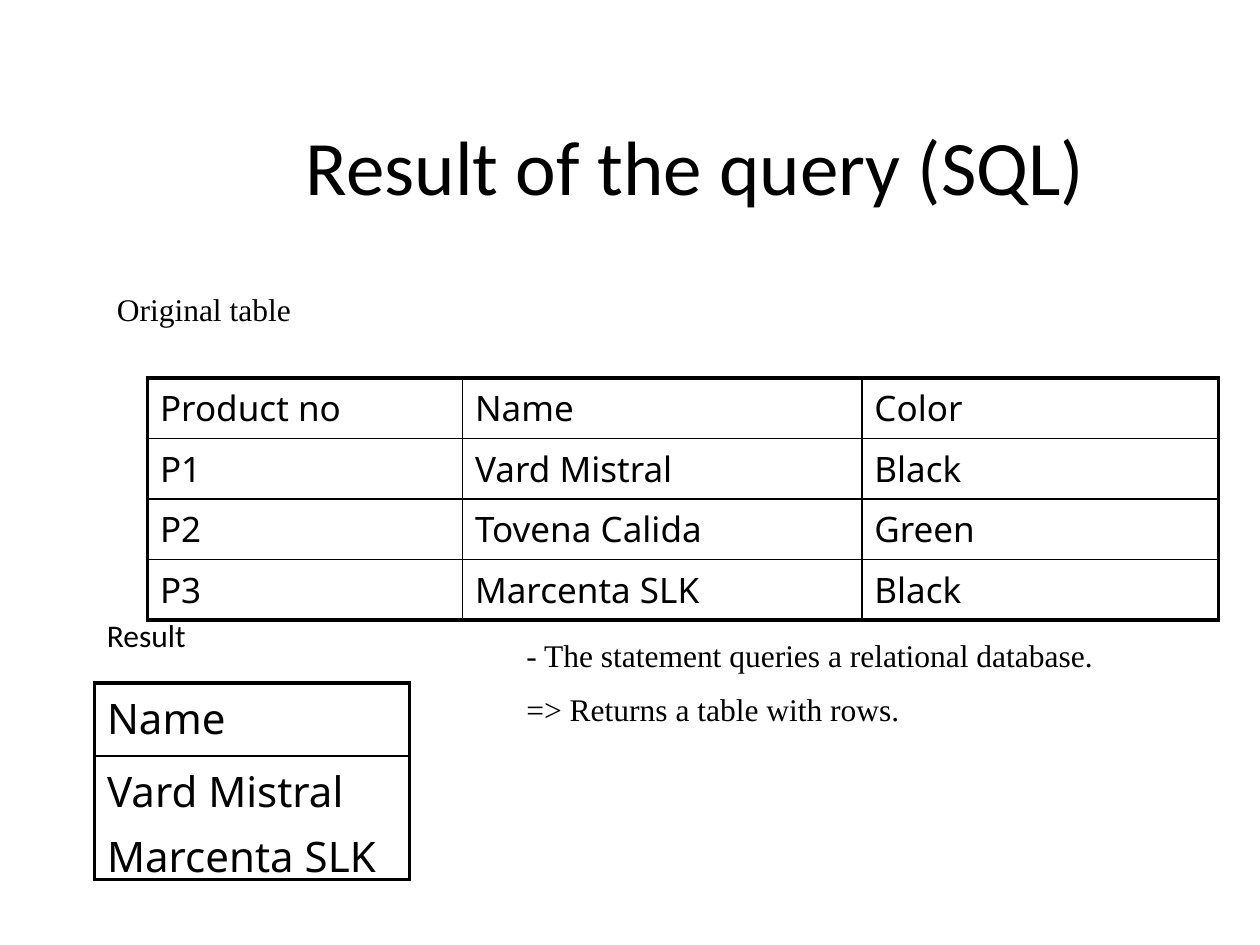
from pptx import Presentation
from pptx import util as u
from pptx.dml.color import RGBColor
from pptx.enum import text
from pptx.oxml.ns import qn
from lxml import etree

BLACK = RGBColor(0, 0, 0)
SANS, SERIF, TABLE_FONT = "Calibri", "Times New Roman", "Noto Sans"
OUTER, INNER = 2.25, 1

PRODUCTS = [
    ["Product no", "Name", "Color"],
    ["P1", "Vard Mistral", "Black"],
    ["P2", "Tovena Calida", "Green"],
    ["P3", "Marcenta SLK", "Black"],
]
RESULT = [["Name"], ["Vard Mistral\nMarcenta SLK"]]


def write(tf, content, size=18, font=SANS, gap=0, align=None,
          anchor=text.MSO_ANCHOR.TOP):
    """Fill a text frame, one paragraph a line; gap is a share of the size."""
    tf.word_wrap = True
    tf.vertical_anchor = anchor
    for i, line in enumerate(content.split("\n")):
        p = tf.add_paragraph() if i else tf.paragraphs[0]
        p.alignment = align
        if i:
            p.space_before = u.Pt(size * gap)
        r = p.add_run()
        r.text = line
        r.font.size = u.Pt(size)
        r.font.name = font
        r.font.color.rgb = BLACK


def add_text(slide, box, content, **style):
    sp = slide.shapes.add_textbox(*map(u.Inches, box))
    write(sp.text_frame, content, **style)


def set_borders(cell, widths):
    tc_pr = cell._tc.get_or_add_tcPr()
    for side, width in zip("LRTB", widths):
        ln = etree.SubElement(tc_pr, qn(f"a:ln{side}"), w=str(u.Pt(width)))
        fill = etree.SubElement(ln, qn("a:solidFill"))
        etree.SubElement(fill, qn("a:srgbClr"), val=str(BLACK))


def add_grid(slide, left, top, col_widths, row_heights, rows, size):
    """Add an unfilled table with a thick frame and thin inner lines."""
    n_rows, n_cols = len(rows), len(col_widths)
    box = (left, top, sum(col_widths), sum(row_heights))
    table = slide.shapes.add_table(n_rows, n_cols, *map(u.Inches, box)).table
    table.first_row = table.horz_banding = False
    for col, width in zip(table.columns, col_widths):
        col.width = u.Inches(width)
    for row, height in zip(table.rows, row_heights):
        row.height = u.Inches(height)
    for i, values in enumerate(rows):
        for j, value in enumerate(values):
            cell = table.cell(i, j)
            write(cell.text_frame, value, size=size, font=TABLE_FONT, gap=0.2)
            edges = (j == 0, j == n_cols - 1, i == 0, i == n_rows - 1)
            set_borders(cell, [OUTER if edge else INNER for edge in edges])
            cell.fill.background()


def add_title(slide, box, content):
    title = slide.shapes.title
    title.left, title.top, title.width, title.height = map(u.Inches, box)
    write(title.text_frame, content, size=44, align=text.PP_ALIGN.CENTER,
          anchor=text.MSO_ANCHOR.MIDDLE)


def main():
    prs = Presentation()
    prs.slide_width, prs.slide_height = u.Inches(10), u.Inches(7.5)
    slide = prs.slides.add_slide(prs.slide_layouts[5])

    add_title(slide, (1.26, 0.68, 8.52, 1.25), "Result of the query (SQL)")
    add_grid(slide, 1.17, 3, [2.5, 3.17, 2.83], [0.48] * 4, PRODUCTS, 20)
    add_text(slide, (4.08, 5, 5.17, 2.1),
             "- The statement queries a relational database.\n"
             "=> Returns a table with rows.", font=SERIF, gap=0.5)
    add_grid(slide, 0.75, 5.42, [2.5], [0.58, 0.98], RESULT, 24)
    add_text(slide, (0.75, 4.83, 1.92, 0.42), "Result",
             anchor=text.MSO_ANCHOR.MIDDLE)
    add_text(slide, (0.83, 2.25, 3.5, 0.5), "Original table", font=SERIF)

    prs.save("out.pptx")


if __name__ == "__main__":
    main()
